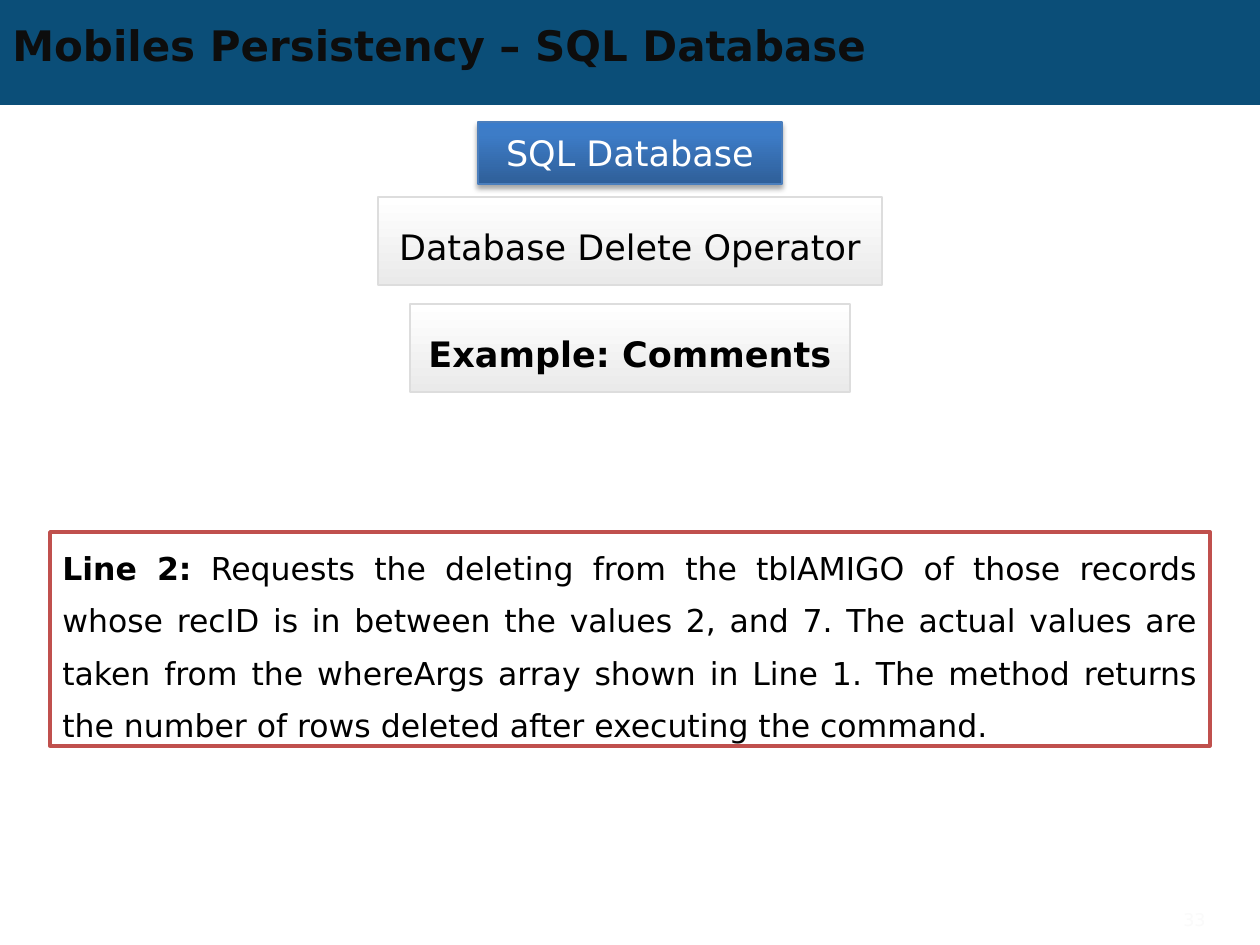
"""Build the slide on the SQL database delete operator."""
from lxml import etree
from pptx import Presentation
from pptx import util as u
from pptx.dml.color import RGBColor
from pptx.enum import shapes, text
from pptx.oxml.ns import qn

PX = 914400 / 126
SLIDE_W, SLIDE_H = 1260, 945
FONT = "DejaVu Sans"
COLORS = {
    "banner": "0B4E78", "title": "0D0D0D", "black": "000000", "white": "FFFFFF",
    "blue_line": "4B7EBC", "grey_line": "DDDDDD", "red_line": "C0504D",
    "number": "FAFAFA",
}
BLUE_STOPS = [(0, "3A7CCB"), (20, "3D7CC7"), (100, "2F5F99")]
GREY_STOPS = [(0, "FFFFFF"), (100, "EAEAEA")]

TITLE = [("Mobiles Persistency – SQL Database", True)]
HEADINGS = [
    dict(runs=[("SQL Database", False)], top=122, width=304, height=62, stops=BLUE_STOPS,
         line="blue_line", weight=0.75, color="white", spacing=None, shadow=True),
    dict(runs=[("Database Delete Operator", False)], top=197, width=504, height=88,
         stops=GREY_STOPS, line="grey_line", weight=1, color="black", spacing=30, shadow=False),
    dict(runs=[("Example: Comments", True)], top=304, width=440, height=88,
         stops=GREY_STOPS, line="grey_line", weight=1, color="black", spacing=30, shadow=False),
]
EXPLANATION = [
    ("Line 2:", True),
    (" Requests the deleting from the tblAMIGO of those records whose recID is in between "
     "the values 2, and 7. The actual values are taken from the whereArgs array shown in "
     "Line 1. The method returns the number of rows deleted after executing the command.", False),
]
NUMBER = [("33", False)]


def px(value):
    return u.Emu(round(value * PX))


def rgb(name):
    return RGBColor.from_string(COLORS[name])


def add_box(slide, left, top, width, height, fill=None, line=None, weight=1):
    box = slide.shapes.add_shape(shapes.MSO_SHAPE.RECTANGLE, px(left), px(top), px(width), px(height))
    box.shadow.inherit = False
    if fill:
        box.fill.solid()
        box.fill.fore_color.rgb = rgb(fill)
    if line:
        box.line.color.rgb = rgb(line)
        box.line.width = u.Pt(weight)
    else:
        box.line.fill.background()
    return box


def add_label(slide, left, top, width, height):
    return slide.shapes.add_textbox(px(left), px(top), px(width), px(height))


def write(box, runs, size, color, align, spacing=None):
    frame = box.text_frame
    frame.word_wrap = True
    frame.vertical_anchor = text.MSO_ANCHOR.MIDDLE
    paragraph = frame.paragraphs[0]
    paragraph.alignment = align
    if spacing:
        paragraph.line_spacing = u.Pt(spacing)
    paragraph.font.name = FONT
    paragraph.font.size = u.Pt(size)
    paragraph.font.color.rgb = rgb(color)
    for words, bold in runs:
        run = paragraph.add_run()
        run.text = words
        run.font.name = FONT
        run.font.size = u.Pt(size)
        run.font.color.rgb = rgb(color)
        run.font.bold = bold


def add_color(parent, value):
    return etree.SubElement(parent, qn("a:srgbClr"), val=value)


def shade_down(box, stops):
    box.fill.gradient()
    box.fill.gradient_angle = 270
    stop_list = box._element.spPr.find(".//" + qn("a:gsLst"))
    for stop in list(stop_list):
        stop_list.remove(stop)
    for percent, value in stops:
        add_color(etree.SubElement(stop_list, qn("a:gs"), pos=str(percent * 1000)), value)


def drop_shadow(box):
    effects = box._element.spPr.find(qn("a:effectLst"))
    shadow = etree.SubElement(effects, qn("a:outerShdw"), blurRad=str(u.Pt(3.1)),
                              dist=str(u.Pt(1.8)), dir="5400000", rotWithShape="0")
    etree.SubElement(add_color(shadow, COLORS["black"]), qn("a:alpha"), val="35000")


def main():
    deck = Presentation()
    deck.slide_width, deck.slide_height = px(SLIDE_W), px(SLIDE_H)
    slide = deck.slides.add_slide(deck.slide_layouts[6])
    align = text.PP_ALIGN

    add_box(slide, 0, 0, SLIDE_W, 105, "banner")
    write(add_label(slide, 0, 18, 1134, 54), TITLE, 24, "title", align.LEFT)

    for part in HEADINGS:
        heading = add_box(slide, (SLIDE_W - part["width"]) / 2, part["top"], part["width"],
                          part["height"], line=part["line"], weight=part["weight"])
        shade_down(heading, part["stops"])
        if part["shadow"]:
            drop_shadow(heading)
        write(heading, part["runs"], 20, part["color"], align.CENTER, part["spacing"])

    explanation = add_box(slide, 50, 532, 1160, 214, "white", "red_line", 2)
    write(explanation, EXPLANATION, 18, "black", align.JUSTIFY, 30)

    write(add_label(slide, 1118, 900, 100, 40), NUMBER, 10, "number", align.RIGHT)
    deck.save("out.pptx")


if __name__ == "__main__":
    main()
